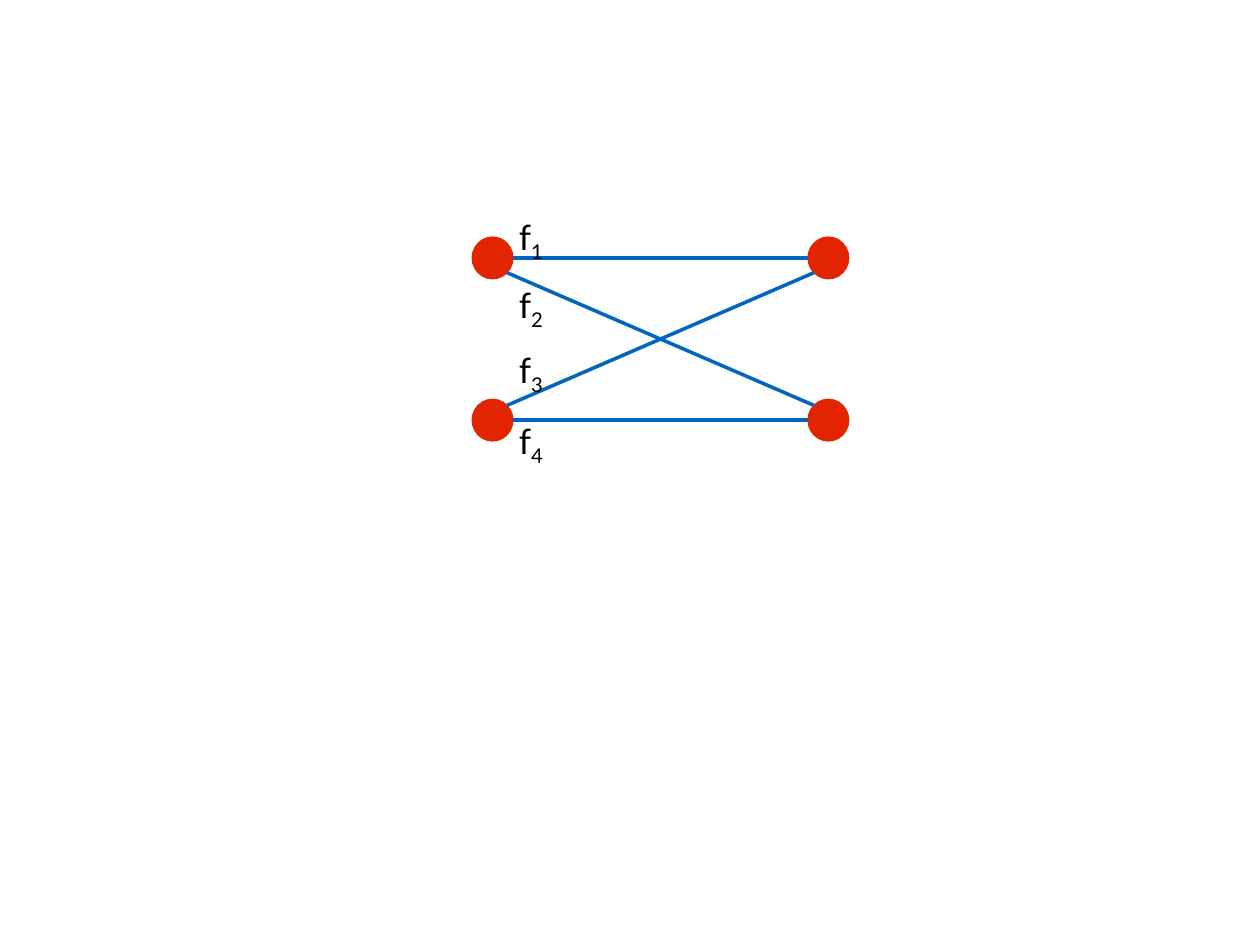
import math

import pptx
import pptx.dml.color
import pptx.enum.shapes
import pptx.enum.text
import pptx.oxml
import pptx.oxml.ns
import pptx.util

Cm = pptx.util.Cm
Pt = pptx.util.Pt


def color(hex_string):
    return pptx.dml.color.RGBColor.from_string(hex_string)


def add_text(paragraph, text, font="Lato", size=20, fill="000000", baseline=None):
    run = paragraph.add_run()
    run.text = text
    run.font.name = font
    run.font.size = Pt(size)
    run.font.color.rgb = color(fill)
    if baseline is not None:
        run.font._element.set("baseline", str(baseline * 1000))


class GraphSlide:
    node_color = "E32400"
    edge_color = "0365C0"
    node_width = 0.82
    node_height = 0.84

    def __init__(self, presentation):
        self.slide = presentation.slides.add_slide(presentation.slide_layouts[6])

    def node(self, center):
        x, y = center
        shape = self.slide.shapes.add_shape(
            pptx.enum.shapes.MSO_SHAPE.OVAL,
            Cm(x - self.node_width / 2), Cm(y - self.node_height / 2),
            Cm(self.node_width), Cm(self.node_height))
        shape.shadow.inherit = False
        shape.fill.solid()
        shape.fill.fore_color.rgb = color(self.node_color)
        shape.line.color.rgb = color(self.node_color)
        shape.line.width = Pt(0.75)

    def rim(self, center, degrees):
        angle = math.radians(degrees)
        return (Cm(center[0] + self.node_width / 2 * math.cos(angle)),
                Cm(center[1] + self.node_height / 2 * math.sin(angle)))

    def edge(self, left, right, degrees):
        connector = self.slide.shapes.add_connector(
            pptx.enum.shapes.MSO_CONNECTOR.STRAIGHT,
            *self.rim(left, degrees), *self.rim(right, degrees + 180))
        connector.line.color.rgb = color(self.edge_color)
        connector.line.width = Pt(2)
        properties = connector._element.spPr
        properties.append(pptx.oxml.parse_xml(
            f"<a:effectLst {pptx.oxml.ns.nsdecls('a')}/>"))

    def label(self, symbol, index, left, top, height):
        shape = self.slide.shapes.add_textbox(Cm(left), Cm(top), Cm(1.02), Cm(height))
        frame = shape.text_frame
        frame.word_wrap = True
        frame.vertical_anchor = pptx.enum.text.MSO_ANCHOR.TOP
        frame.margin_left = frame.margin_right = Cm(0.1)
        frame.margin_top = frame.margin_bottom = Cm(0.1)
        paragraph = frame.paragraphs[0]
        add_text(paragraph, symbol)
        add_text(paragraph, str(index), baseline=-25)


def main():
    presentation = pptx.Presentation()
    presentation.slide_width = Cm(25.4)
    presentation.slide_height = Cm(19.05)
    graph = GraphSlide(presentation)

    left_x, right_x = 9.93, 16.7
    top_y, bottom_y = 5.2, 8.47
    top_left, bottom_left = (left_x, top_y), (left_x, bottom_y)
    top_right, bottom_right = (right_x, top_y), (right_x, bottom_y)

    graph.edge(top_left, top_right, 0)
    graph.edge(bottom_left, bottom_right, 0)
    for center in (top_left, bottom_left, top_right, bottom_right):
        graph.node(center)
    graph.edge(top_left, bottom_right, 45)
    graph.edge(bottom_left, top_right, -45)

    label_boxes = [(4.24, 1.24), (5.61, 1.02), (6.93, 1.02), (8.36, 1.02)]
    for index, (top, height) in enumerate(label_boxes, start=1):
        graph.label("f", index, 10.36, top, height)

    presentation.save("out.pptx")


if __name__ == "__main__":
    main()
